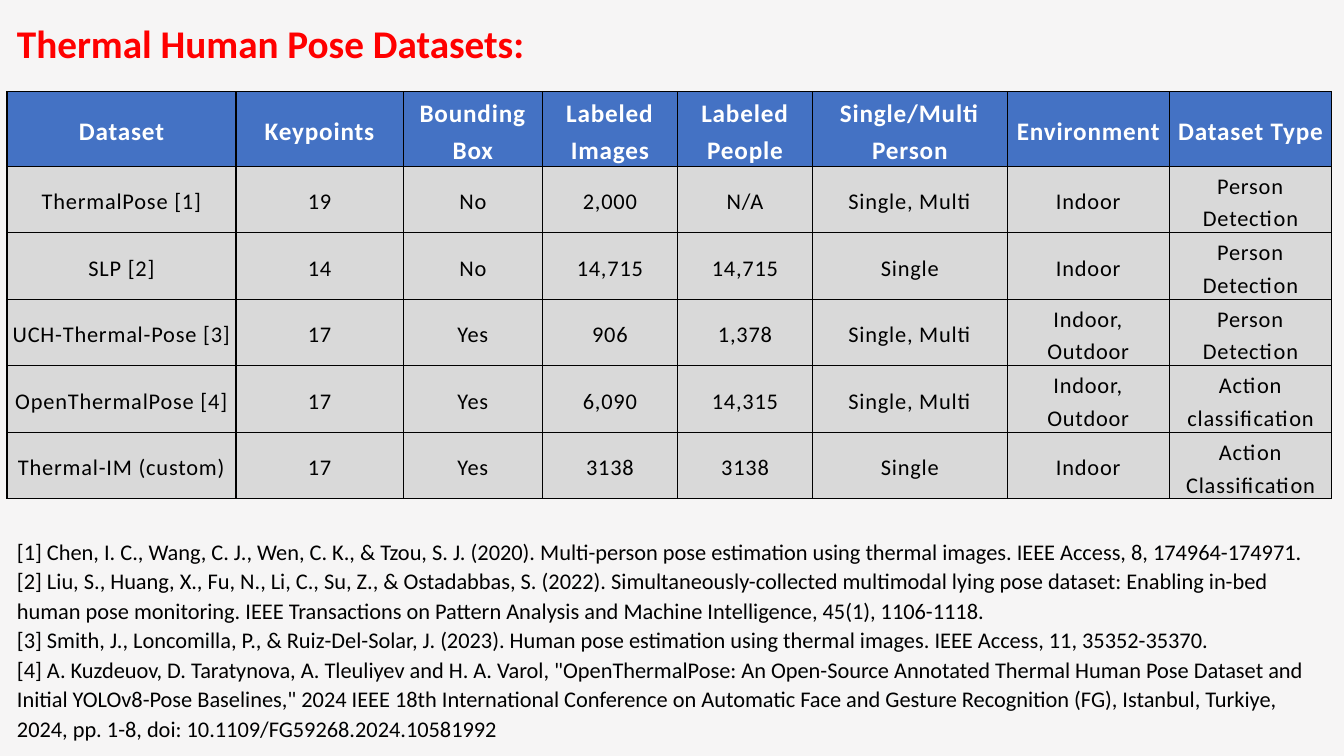
from lxml import etree
from pptx import Presentation
from pptx.dml.color import RGBColor
from pptx.enum import text
from pptx.oxml import ns
from pptx.util import Inches, Pt

# Content
TITLE = "Thermal Human Pose Datasets:"
HEADER = ("Dataset", "Keypoints", "Bounding Box", "Labeled Images", "Labeled People",
          "Single/Multi Person", "Environment", "Dataset Type")
DATASETS = [
    ("ThermalPose [1]", "19", "No", "2,000", "N/A", "Single, Multi", "Indoor", "Person Detection"),
    ("SLP [2]", "14", "No", "14,715", "14,715", "Single", "Indoor", "Person Detection"),
    ("UCH-Thermal-Pose [3]", "17", "Yes", "906", "1,378", "Single, Multi", "Indoor, Outdoor",
     "Person Detection"),
    ("OpenThermalPose [4]", "17", "Yes", "6,090", "14,315", "Single, Multi", "Indoor, Outdoor",
     "Action classification"),
    ("Thermal-IM (custom)", "17", "Yes", "3138", "3138", "Single", "Indoor",
     "Action Classification"),
]
REFERENCES = [
    "[1] Chen, I. C., Wang, C. J., Wen, C. K., & Tzou, S. J. (2020). Multi-person pose estimation "
    "using thermal images. IEEE Access, 8, 174964-174971.",
    "[2] Liu, S., Huang, X., Fu, N., Li, C., Su, Z., & Ostadabbas, S. (2022). "
    "Simultaneously-collected multimodal lying pose dataset: Enabling in-bed human pose monitoring. "
    "IEEE Transactions on Pattern Analysis and Machine Intelligence, 45(1), 1106-1118.",
    "[3] Smith, J., Loncomilla, P., & Ruiz-Del-Solar, J. (2023). Human pose estimation using "
    "thermal images. IEEE Access, 11, 35352-35370.",
    '[4] A. Kuzdeuov, D. Taratynova, A. Tleuliyev and H. A. Varol, "OpenThermalPose: An Open-Source '
    'Annotated Thermal Human Pose Dataset and Initial YOLOv8-Pose Baselines," 2024 IEEE 18th '
    "International Conference on Automatic Face and Gesture Recognition (FG), Istanbul, Turkiye, "
    "2024, pp. 1-8, doi: 10.1109/FG59268.2024.10581992",
]

# Theme and layout
THEME = {
    "background": "F6F5F5", "header_fill": "4472C4", "body_fill": "D9D9D9", "border": "000000",
    "title": {"size": 28, "color": "FF0000", "bold": True},
    "header": {"size": 18, "color": "FFFFFF", "bold": True},
    "body": {"size": 16, "color": "000000", "bold": False},
    "font": "Calibri",
}
LEFT, WIDTH = 0.07, 13.14
COLUMNS = (2.27, 1.66, 1.38, 1.34, 1.34, 1.93, 1.61, 1.61)
HEADER_HEIGHT, ROW_HEIGHT = 0.74, 0.66
CELL_FORMAT = {
    "margin_left": Inches(0.04), "margin_right": Inches(0.04),
    "margin_top": Inches(0.01), "margin_bottom": Inches(0.01),
    "vertical_anchor": text.MSO_ANCHOR.MIDDLE,
}


def set_all(target, values):
    for name, value in values.items():
        setattr(target, name, value)


def write(p, content, style, line_spacing):
    p.line_spacing = line_spacing
    r = p.add_run()
    r.text = content
    set_all(r.font, {"name": THEME["font"], "size": Pt(style["size"]), "bold": style["bold"]})
    r.font.color.rgb = RGBColor.from_string(style["color"])
    return r


def add_text(slide, top, width, height, lines, style, line_spacing, anchor):
    sp = slide.shapes.add_textbox(Inches(LEFT), Inches(top), Inches(width), Inches(height))
    tf = sp.text_frame
    set_all(tf, {"word_wrap": True, "vertical_anchor": anchor})
    for i, line in enumerate(lines):
        write(tf.add_paragraph() if i else tf.paragraphs[0], line, style, line_spacing)


def add_borders(cell):
    props = cell._tc.get_or_add_tcPr()
    for i, side in enumerate(("a:lnL", "a:lnR", "a:lnT", "a:lnB")):
        line = etree.Element(ns.qn(side), w=str(Pt(1)))
        fill = etree.SubElement(line, ns.qn("a:solidFill"))
        etree.SubElement(fill, ns.qn("a:srgbClr"), val=THEME["border"])
        props.insert(i, line)


def fill_cell(cell, content, part):
    set_all(cell, CELL_FORMAT)
    cell.fill.solid()
    cell.fill.fore_color.rgb = RGBColor.from_string(THEME[part + "_fill"])
    p = cell.text_frame.paragraphs[0]
    p.alignment = text.PP_ALIGN.CENTER
    r = write(p, content, THEME[part], 1.2)
    r._r.get_or_add_rPr().set("spc", "60")
    add_borders(cell)


def add_datasets(slide):
    rows = [HEADER] + DATASETS
    height = HEADER_HEIGHT + ROW_HEIGHT * len(DATASETS)
    table = slide.shapes.add_table(len(rows), len(HEADER), Inches(LEFT), Inches(0.91),
                                   Inches(WIDTH), Inches(height)).table
    set_all(table, {"first_row": False, "horz_banding": False})
    for column, width in zip(table.columns, COLUMNS):
        column.width = Inches(width)
    for i, values in enumerate(rows):
        table.rows[i].height = Inches(ROW_HEIGHT if i else HEADER_HEIGHT)
        for j, value in enumerate(values):
            fill_cell(table.cell(i, j), value, "body" if i else "header")


def main():
    prs = Presentation()
    set_all(prs, {"slide_width": Inches(13.33), "slide_height": Inches(7.5)})
    slide = prs.slides.add_slide(prs.slide_layouts[6])
    slide.background.fill.solid()
    slide.background.fill.fore_color.rgb = RGBColor.from_string(THEME["background"])

    # Title, table and references
    add_text(slide, 0.25, WIDTH, 0.41, [TITLE], THEME["title"], 0.9, text.MSO_ANCHOR.MIDDLE)
    add_datasets(slide)
    add_text(slide, 5.26, 13.07, 2.13, REFERENCES, THEME["body"], 1.1, text.MSO_ANCHOR.TOP)
    prs.save("out.pptx")


if __name__ == "__main__":
    main()
